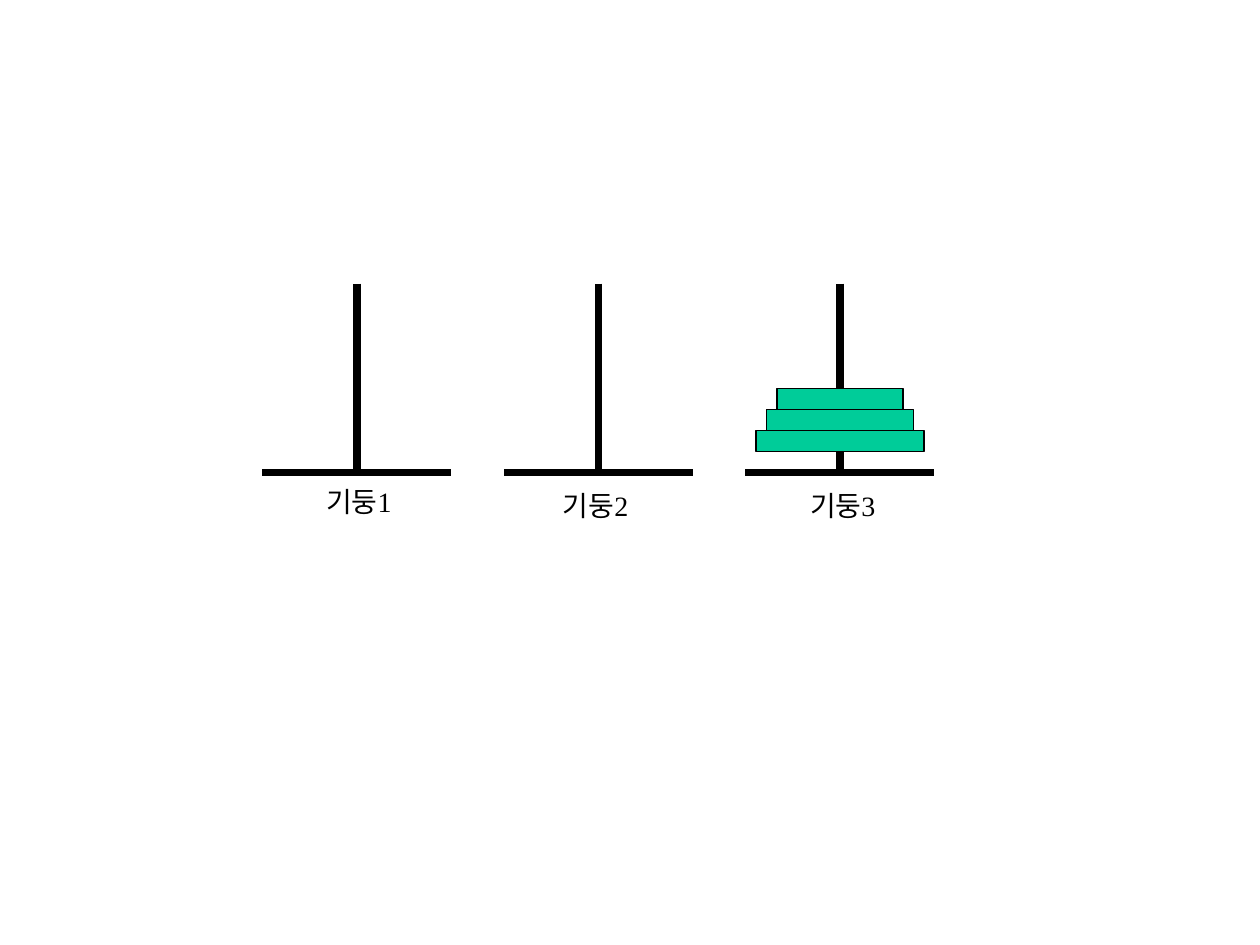
from pptx import Presentation
from pptx.dml.color import RGBColor
from pptx.enum.shapes import MSO_CONNECTOR as Conn, MSO_SHAPE as Kind
from pptx.enum.text import MSO_AUTO_SIZE as Auto
from pptx.oxml.ns import qn
from pptx.util import Pt
from lxml.etree import SubElement as Sub


def color(code):
    return RGBColor.from_string(code)


def bar(x1, y1, x2, y2):
    line = slide.shapes.add_connector(Conn.STRAIGHT, Pt(x1), Pt(y1), Pt(x2), Pt(y2))
    line.line.width = Pt(4.5)
    line.line.color.rgb = color("000000")
    Sub(line._element.spPr, qn("a:effectLst"))


deck = Presentation()
deck.slide_width, deck.slide_height = Pt(720), Pt(540)
slide = deck.slides.add_slide(deck.slide_layouts[6])

# Three poles on their bases
first, step, half = 204, 138, 54
top, floor = 162, 270
poles = [first + step * i for i in range(3)]
for x in poles:
    bar(x - half, floor, x + half, floor)
    bar(x, top, x, floor)

# Discs on the last pole, widest at the bottom
thick, low = 12, 246
for i in range(3):
    wide = 96 - 12 * i
    disc = slide.shapes.add_shape(Kind.RECTANGLE, Pt(poles[-1] - wide / 2),
                                  Pt(low - thick * i), Pt(wide), Pt(thick))
    disc.shadow.inherit = False
    disc.fill.solid()
    disc.fill.fore_color.rgb = color("00CC99")
    disc.line.color.rgb = color("000000")
    disc.line.width = Pt(0.75)

# Pole labels
style = {"name": "Times New Roman", "size": Pt(16)}
spots = [(179.3, 273.6), (314.6, 275.8), (455.8, 275.8)]
for num, (x, y) in enumerate(spots, 1):
    frame = slide.shapes.add_textbox(Pt(x), Pt(y), Pt(55.4), Pt(26.6)).text_frame
    frame.word_wrap = False
    frame.auto_size = Auto.SHAPE_TO_FIT_TEXT
    run = frame.paragraphs[0].add_run()
    run.text = f"기둥{num}"
    for key, value in style.items():
        setattr(run.font, key, value)
    run.font.color.rgb = color("000000")

deck.save("out.pptx")
